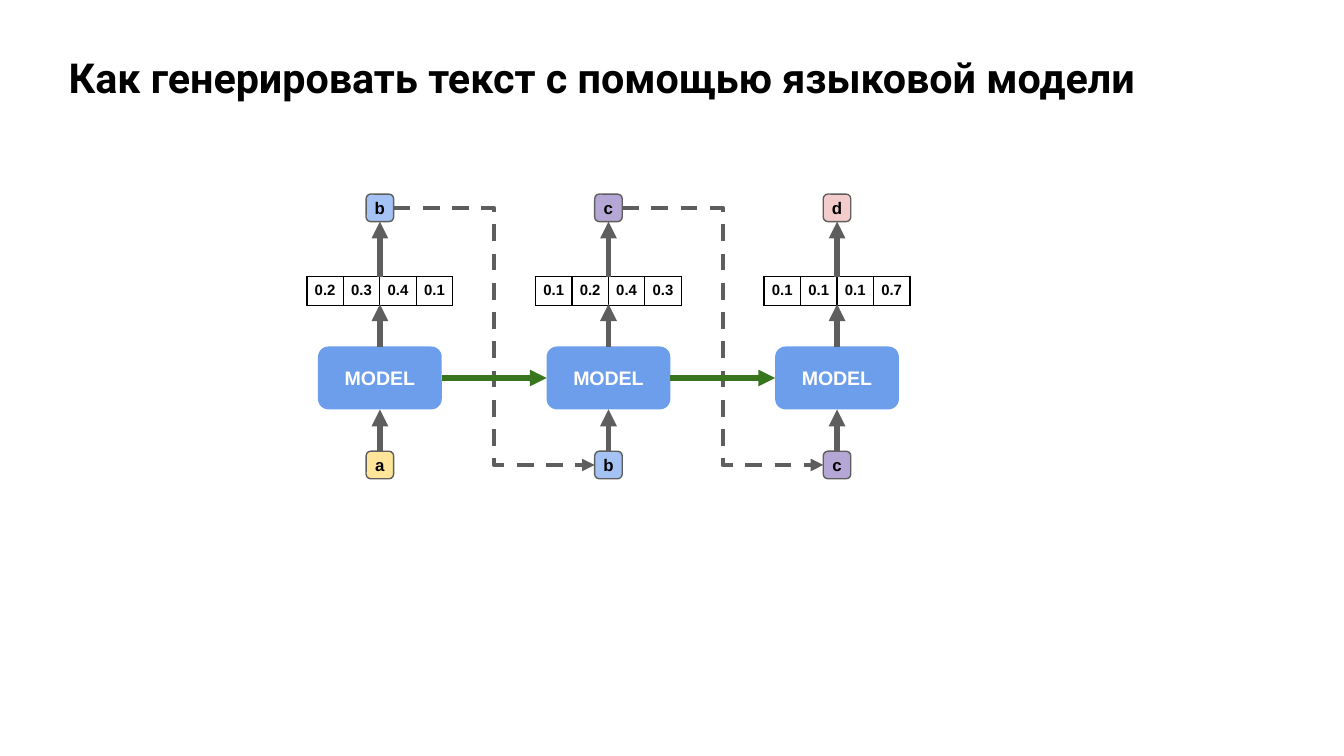
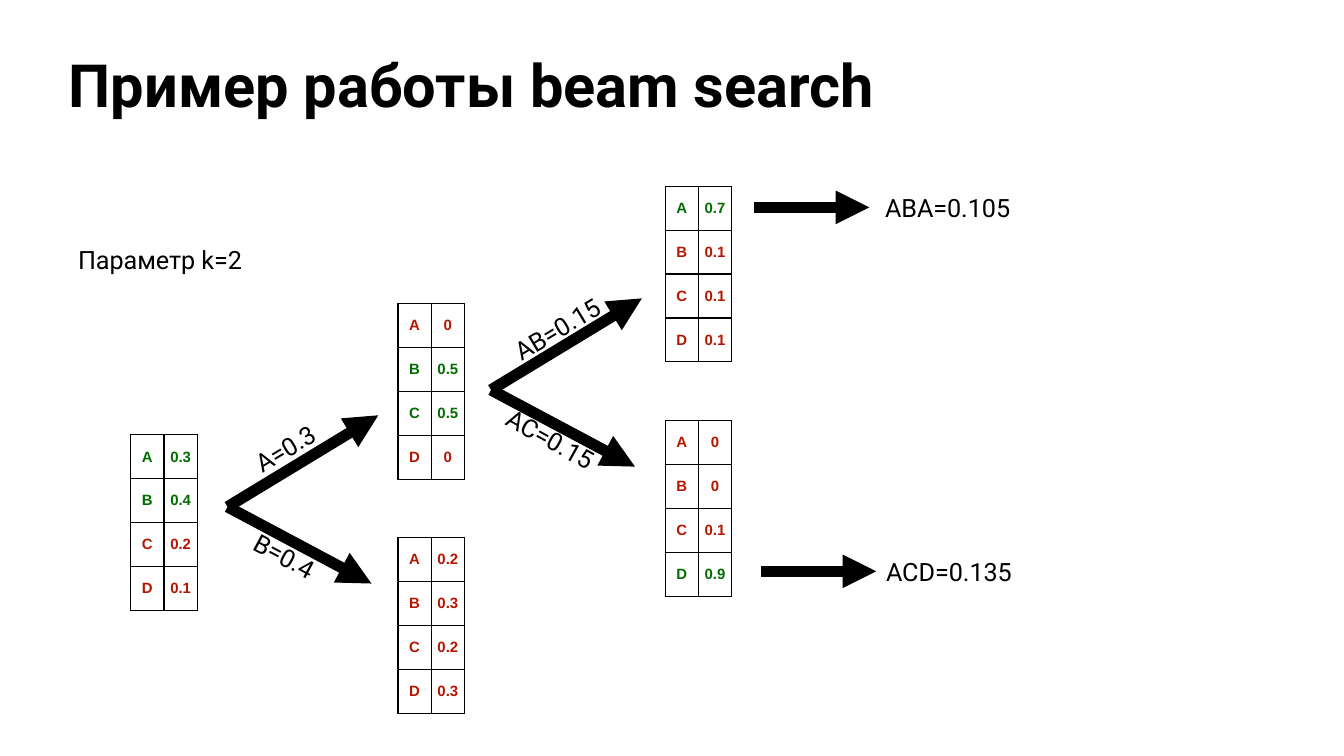
import pptx
import pptx.util
import pptx.dml.color
import pptx.enum.dml
import pptx.enum.shapes
import pptx.enum.text
import pptx.oxml
import pptx.oxml.ns

Cm, Pt = pptx.util.Cm, pptx.util.Pt
CONN = pptx.enum.shapes.MSO_CONNECTOR
ANCHOR = pptx.enum.text.MSO_ANCHOR
ALIGN = pptx.enum.text.PP_ALIGN

COLORS = {
    "black": "000000", "white": "FFFFFF", "model": "6D9EEB", "grey": "5E5E5E",
    "state": "38761D", "kept": "016D01", "dropped": "B41600",
}
TOKEN_FILLS = {"a": "FFE599", "b": "A4C2F4", "c": "B4A7D6", "d": "F4CCCC"}

TITLE = {"name": "Roboto", "bold": True, "color": "black"}
LABEL = {"name": "Roboto", "size": Pt(13.5), "color": "black"}
TOKEN = {"name": "Arial", "size": Pt(9), "bold": True, "color": "black"}
MODEL = {**TOKEN, "size": Pt(10.5), "color": "white"}
CELL = {**TOKEN, "size": Pt(8)}

GENERATION_TITLE = ("Как генерировать текст с помощью языковой модели", 22.1)
STEPS = [  # input token, next-token probabilities, output token
    ("a", ["0.2", "0.3", "0.4", "0.1"], "b"),
    ("b", ["0.1", "0.2", "0.4", "0.3"], "c"),
    ("c", ["0.1", "0.1", "0.1", "0.7"], "d"),
]

BEAM_TITLE = ("Пример работы beam search", 31.9)
LETTERS = "АBCD"
BEAMS = [  # depth, top, probabilities, letters kept
    (0, 8.22, ["0.3", "0.4", "0.2", "0.1"], "АB"),
    (1, 5.74, ["0", "0.5", "0.5", "0"], "BC"),
    (1, 10.16, ["0.2", "0.3", "0.2", "0.3"], ""),
    (2, 3.52, ["0.7", "0.1", "0.1", "0.1"], "А"),
    (2, 7.95, ["0", "0", "0.1", "0.9"], "D"),
]
FORKS = [(4.3, 9.58), (9.28, 7.37)]
BRANCHES = [(2.85, -1.73), (2.72, 1.45)]
RESULT_ARROWS = [(14.25, 3.92), (14.38, 10.8)]
BEAM_LABELS = [  # text, left, top, width, rotation
    ("A=0.3", 4.7, 8.13, 1.37, 329),
    ("AB=0.15", 9.42, 5.87, 2.21, 329),
    ("AC=0.15", 9.3, 7.95, 2.21, 29),
    ("B=0.4", 4.27, 10.16, 2.21, 28),
    ("ABA=0.105", 16.64, 3.58, 2.54, 0),
    ("ACD=0.135", 16.64, 10.46, 2.59, 0),
    ("Параметр k=2 ", 1.22, 4.55, 3.73, 0),
]


def rgb(name):
    return pptx.dml.color.RGBColor.from_string(COLORS.get(name, name))


def put_text(tf, text, style, align=ALIGN.CENTER):
    p = tf.paragraphs[0]
    p.alignment = align
    r = p.add_run()
    r.text = text
    for key, value in style.items():
        if key == "color":
            r.font.color.rgb = rgb(value)
        else:
            setattr(r.font, key, value)
    return p


def set_frame(holder, margin, anchor):
    """Set insets and anchor of a text frame or a table cell."""
    for side in ("left", "right", "top", "bottom"):
        setattr(holder, f"margin_{side}", Cm(margin))
    holder.vertical_anchor = anchor


def add_text(s, text, box, style, rotation=0, anchor=ANCHOR.MIDDLE,
             align=ALIGN.CENTER, wrap=False):
    sp = s.shapes.add_textbox(*map(Cm, box))
    sp.rotation = rotation
    tf = sp.text_frame
    set_frame(tf, 0.05, anchor)
    tf.word_wrap = wrap
    return put_text(tf, text, style, align)


def add_box(s, text, box, fill, style, outline=None):
    sp = s.shapes.add_shape(pptx.enum.shapes.MSO_SHAPE.ROUNDED_RECTANGLE, *map(Cm, box))
    sp.shadow.inherit = False
    sp.fill.solid()
    sp.fill.fore_color.rgb = rgb(fill)
    if outline:
        sp.line.color.rgb = rgb(outline)
        sp.line.width = Pt(0.75)
    else:
        sp.line.fill.background()
    set_frame(sp.text_frame, 0.1, ANCHOR.MIDDLE)
    put_text(sp.text_frame, text, style)


def add_token(s, letter, center, top):
    add_box(s, letter, (center - TOKEN_SIZE / 2, top, TOKEN_SIZE, TOKEN_SIZE),
            TOKEN_FILLS[letter], TOKEN, "grey")


def add_arrow(s, start, end, color, width, kind=CONN.STRAIGHT, dashed=False):
    c = s.shapes.add_connector(kind, *map(Cm, start + end))
    c.line.color.rgb = rgb(color)
    c.line.width = Pt(width)
    if dashed:
        c.line.dash_style = pptx.enum.dml.MSO_LINE.DASH
    ln = c.line._get_or_add_ln()
    pptx.oxml.ns.qn("a:tailEnd")
    ln.append(pptx.oxml.parse_xml(
        f'<a:tailEnd {pptx.oxml.ns.nsdecls("a")} type="triangle"/>'))
    c._element.spPr.append(pptx.oxml.parse_xml(
        f'<a:effectLst {pptx.oxml.ns.nsdecls("a")}/>'))


def add_grid(s, left, top, rows, col_width, row_height, margin, anchor):
    """Add a black-ruled table; rows hold (text, colour) pairs."""
    n_rows, n_cols = len(rows), len(rows[0])
    table = s.shapes.add_table(n_rows, n_cols, Cm(left), Cm(top),
                               Cm(col_width * n_cols), Cm(row_height * n_rows)).table
    table.first_row = table.horz_banding = False
    for col in table.columns:
        col.width = Cm(col_width)
    for row, values in zip(table.rows, rows):
        row.height = Cm(row_height)
        for cell, (text, color) in zip(row.cells, values):
            set_frame(cell, margin, anchor)
            put_text(cell.text_frame, text, {**CELL, "color": color})
            cell.fill.background()
            tc_pr = cell._tc.get_or_add_tcPr()
            for i, side in enumerate("LRTB"):
                tc_pr.insert(i, pptx.oxml.parse_xml(
                    f'<a:ln{side} {pptx.oxml.ns.nsdecls("a")} w="{Pt(0.75)}"><a:solidFill>'
                    f'<a:srgbClr val="{COLORS["black"]}"/></a:solidFill></a:ln{side}>'))


def add_slide(prs, title, size):
    s = prs.slides.add_slide(prs.slide_layouts[6])
    p = add_text(s, title, (1.25, 1.12, 22.89, 1.5), {**TITLE, "size": Pt(size)},
                 anchor=ANCHOR.TOP, align=ALIGN.LEFT, wrap=True)
    p.line_spacing = 0.8
    return s


TOKEN_SIZE = 0.52
MODEL_W, MODEL_H = 2.34, 1.19
FIRST_CENTER, STEP_PITCH = 7.18, 4.32
OUTPUT_TOP, PROBS_TOP, MODEL_TOP, INPUT_TOP = 3.67, 5.23, 6.55, 8.53
PROB_W, PROB_H = 0.69, 0.52


def generation_slide(prs):
    s = add_slide(prs, *GENERATION_TITLE)
    centers = [FIRST_CENTER + i * STEP_PITCH for i in range(len(STEPS))]
    rises = [(INPUT_TOP, MODEL_TOP + MODEL_H), (MODEL_TOP, PROBS_TOP + PROB_H),
             (PROBS_TOP, OUTPUT_TOP + TOKEN_SIZE)]
    for x, (source, probs, output) in zip(centers, STEPS):
        add_box(s, "MODEL", (x - MODEL_W / 2, MODEL_TOP, MODEL_W, MODEL_H), "model", MODEL)
        add_grid(s, x - PROB_W * len(probs) / 2, PROBS_TOP, [[(v, "black") for v in probs]],
                 PROB_W, PROB_H, 0.1, ANCHOR.TOP)
        add_token(s, source, x, INPUT_TOP)
        add_token(s, output, x, OUTPUT_TOP)
        for start, end in rises:
            add_arrow(s, (x, start), (x, end), "grey", 3)
    half = TOKEN_SIZE / 2
    model_mid = MODEL_TOP + MODEL_H / 2
    for x, following in zip(centers, centers[1:]):
        add_arrow(s, (x + half, OUTPUT_TOP + half), (following - half, INPUT_TOP + half),
                  "grey", 2.25, CONN.ELBOW, dashed=True)
        add_arrow(s, (x + MODEL_W / 2, model_mid), (following - MODEL_W / 2, model_mid),
                  "state", 3)


def beam_slide(prs):
    s = add_slide(prs, *BEAM_TITLE)
    for depth, top, probs, kept in BEAMS:
        rows = []
        for letter, prob in zip(LETTERS, probs):
            color = "kept" if letter in kept else "dropped"
            rows.append([(letter, color), (prob, color)])
        add_grid(s, 2.47 + depth * 5.05, top, rows, 0.63, 0.83, 0.05, ANCHOR.MIDDLE)
    for x, y in FORKS:
        for dx, dy in BRANCHES:
            add_arrow(s, (x, y), (x + dx, y + dy), "black", 6)
    for x, y in RESULT_ARROWS:
        add_arrow(s, (x, y), (x + 2.18, y), "black", 6)
    for text, left, top, width, rotation in BEAM_LABELS:
        add_text(s, text, (left, top, width, 0.69), LABEL, rotation)


def main():
    prs = pptx.Presentation()
    prs.slide_width, prs.slide_height = Cm(25.4), Cm(14.29)
    generation_slide(prs)
    beam_slide(prs)
    prs.save("out.pptx")


if __name__ == "__main__":
    main()
